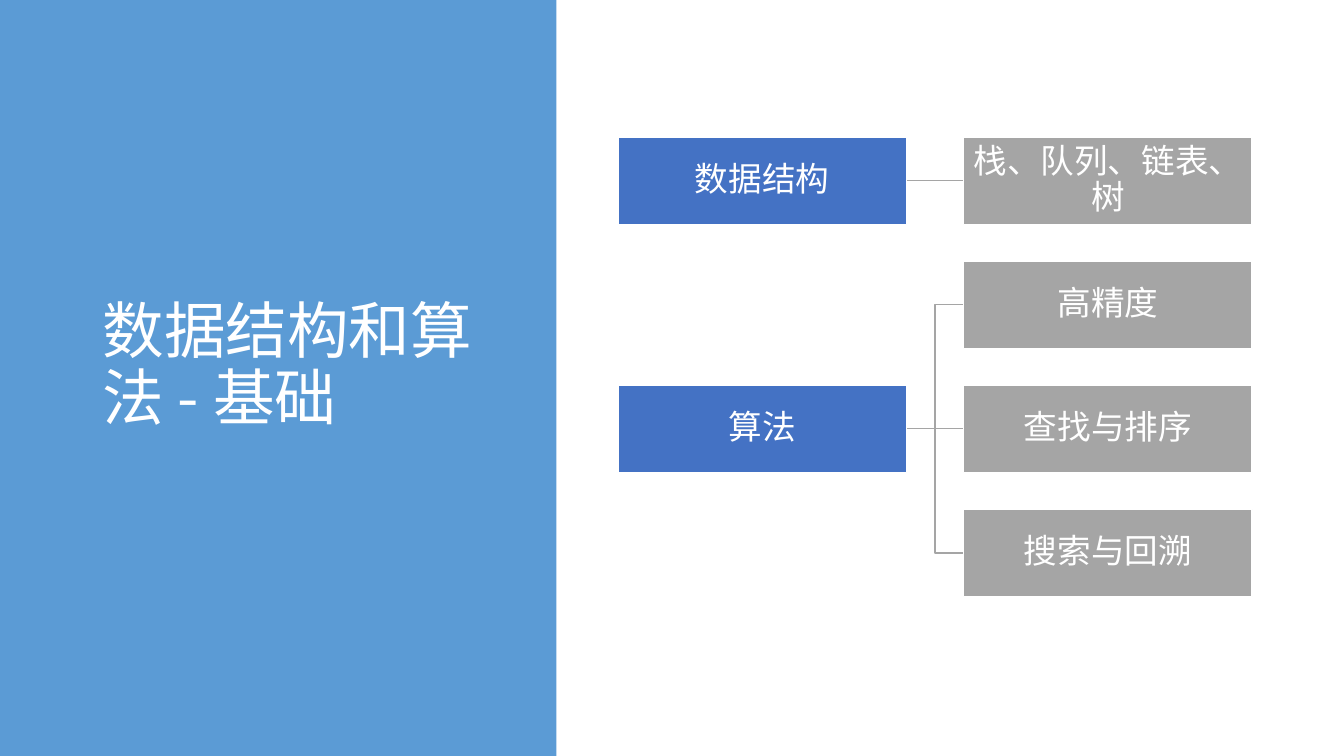
from dataclasses import dataclass

from lxml.etree import SubElement
from pptx import Presentation
from pptx.dml.color import RGBColor
from pptx.enum.shapes import MSO_CONNECTOR, MSO_SHAPE
from pptx.enum.text import MSO_ANCHOR, MSO_AUTO_SIZE, PP_ALIGN
from pptx.oxml.ns import qn
from pptx.util import Pt


@dataclass(frozen=True)
class Theme:
    font: str = "Noto Sans CJK SC"
    panel: RGBColor = RGBColor(0x5B, 0x9B, 0xD5)
    topic: RGBColor = RGBColor(0x44, 0x72, 0xC4)
    detail: RGBColor = RGBColor(0xA5, 0xA5, 0xA5)
    white: RGBColor = RGBColor(0xFF, 0xFF, 0xFF)
    title_size: int = 44
    box_size: int = 24


THEME = Theme()
TOPIC_LEFT, DETAIL_LEFT = 441.4, 688.4
TOP, ROW_PITCH = 97.9, 88.6
BOX_WIDTH, BOX_HEIGHT = 206, 62.4
BRANCHES = [
    ("数据结构", ["栈、队列、链表、树"]),
    ("算法", ["高精度", "查找与排序", "搜索与回溯"]),
]


def add_run(p, text, size):
    r = p.add_run()
    r.text = text
    r.font.size = Pt(size)
    r.font.color.rgb = THEME.white
    r.font.name = THEME.font
    SubElement(r._r.get_or_add_rPr(), qn("a:ea"), typeface=THEME.font)


def add_rect(s, left, top, width, height, color):
    sp = s.shapes.add_shape(MSO_SHAPE.RECTANGLE, Pt(left), Pt(top), Pt(width), Pt(height))
    sp.shadow.inherit = False
    sp.fill.solid()
    sp.fill.fore_color.rgb = color
    sp.line.fill.background()
    return sp


def add_box(s, left, row, text, color):
    sp = add_rect(s, left, TOP + row * ROW_PITCH, BOX_WIDTH, BOX_HEIGHT, color)
    sp.line.color.rgb = THEME.white
    sp.line.width = Pt(1)
    tf = sp.text_frame
    tf.word_wrap = True
    tf.vertical_anchor = MSO_ANCHOR.MIDDLE
    tf.margin_left = tf.margin_right = tf.margin_top = tf.margin_bottom = Pt(1.2)
    p = tf.paragraphs[0]
    p.alignment = PP_ALIGN.CENTER
    p.line_spacing = 0.9
    add_run(p, text, THEME.box_size)
    return sp


def add_link(s, topic, detail):
    kind = MSO_CONNECTOR.STRAIGHT if topic.top == detail.top else MSO_CONNECTOR.ELBOW
    link = s.shapes.add_connector(kind, 0, 0, 0, 0)
    link.begin_connect(topic, 3)
    link.end_connect(detail, 1)
    link.line.color.rgb = THEME.detail
    link.line.width = Pt(1)
    SubElement(link.element.spPr, qn("a:effectLst"))
    topic.element.addprevious(link.element)


def add_branch(s, first_row, topic_text, detail_texts):
    middle_row = first_row + (len(detail_texts) - 1) / 2
    topic = add_box(s, TOPIC_LEFT, middle_row, topic_text, THEME.topic)
    for row, text in enumerate(detail_texts, first_row):
        add_link(s, topic, add_box(s, DETAIL_LEFT, row, text, THEME.detail))


def set_title(s, text):
    title = s.shapes.title
    title.left, title.top, title.width, title.height = Pt(66), Pt(49), Pt(297), Pt(426)
    tf = title.text_frame
    tf.word_wrap = True
    tf.auto_size = MSO_AUTO_SIZE.NONE
    tf.vertical_anchor = MSO_ANCHOR.MIDDLE
    p = tf.paragraphs[0]
    p.alignment = PP_ALIGN.LEFT
    p.line_spacing = 0.9
    add_run(p, text, THEME.title_size)
    return title


def main():
    prs = Presentation()
    prs.slide_width, prs.slide_height = Pt(960), Pt(540)
    s = prs.slides.add_slide(prs.slide_layouts[5])
    title = set_title(s, "数据结构和算法 - 基础")
    panel = add_rect(s, 0, 0, 397.4, 540, THEME.panel)
    title.element.addprevious(panel.element)
    row = 0
    for topic, details in BRANCHES:
        add_branch(s, row, topic, details)
        row += len(details)
    prs.save("out.pptx")


if __name__ == "__main__":
    main()
